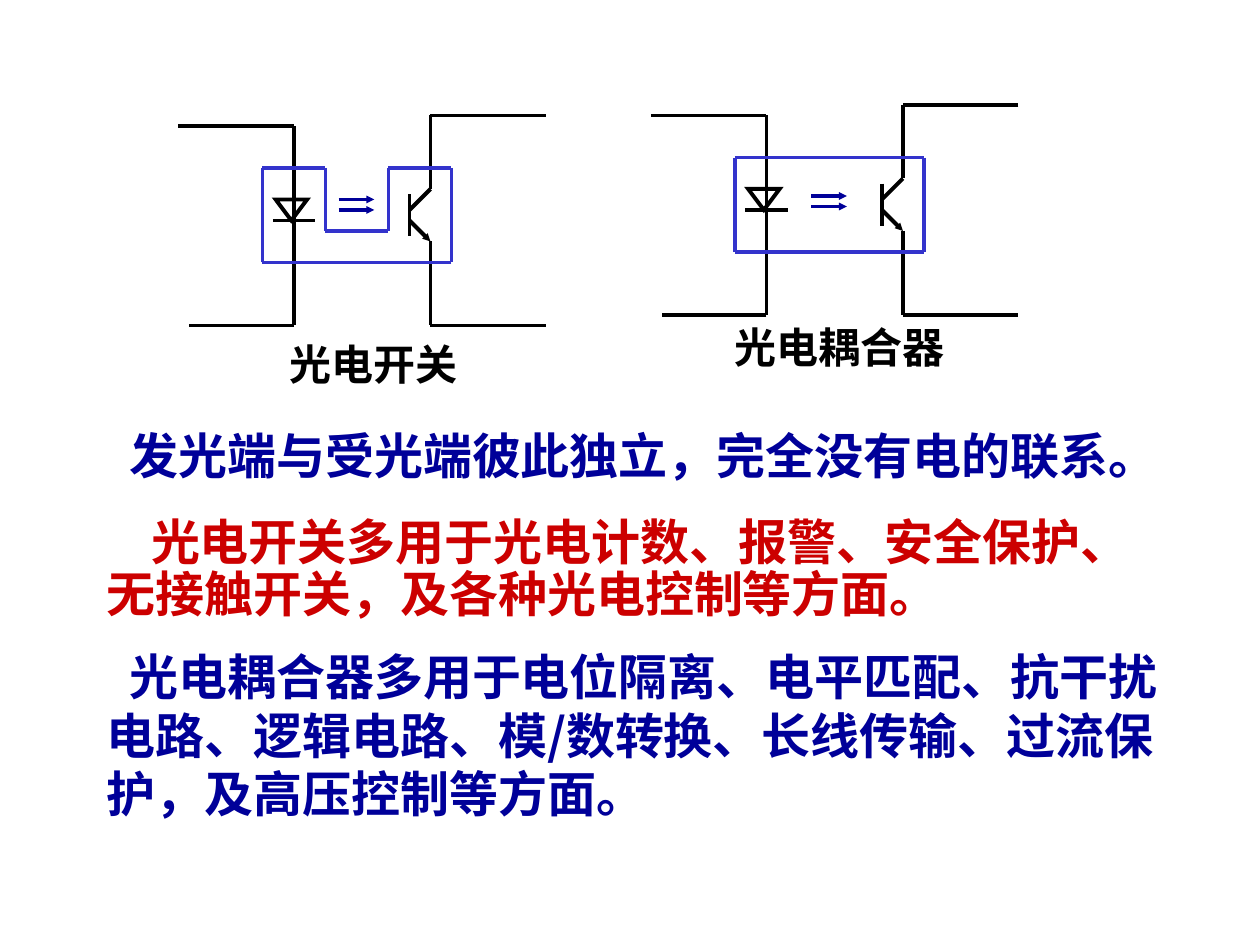
import itertools

import lxml.etree
import pptx
import pptx.dml.color
import pptx.enum.shapes
import pptx.enum.text
import pptx.oxml.ns
import pptx.util

Inches = pptx.util.Inches
Pt = pptx.util.Pt
RGBColor = pptx.dml.color.RGBColor
qn = pptx.oxml.ns.qn

BLACK = RGBColor(0x00, 0x00, 0x00)
BLUE = RGBColor(0x33, 0x33, 0xCC)
NAVY = RGBColor(0x00, 0x00, 0x99)
RED = RGBColor(0xCC, 0x00, 0x00)
SERIF = "Times New Roman"
SANS = "Noto Sans CJK SC"
WIDTH = Pt(2.25)


def grid(n):
    """Circuits are drawn on a grid of twelfths of an inch."""
    return Inches(n / 12)


def wire(group, org, color, *points, arrow=False):
    """Join the points with straight lines, one for each pair."""
    for (x1, y1), (x2, y2) in itertools.pairwise(points):
        line = group.shapes.add_connector(
            pptx.enum.shapes.MSO_CONNECTOR.STRAIGHT,
            grid(org[0] + x1), grid(org[1] + y1),
            grid(org[0] + x2), grid(org[1] + y2))
        line.line.color.rgb = color
        line.line.width = WIDTH
        props = line.line._get_or_add_ln()
        if arrow:
            lxml.etree.SubElement(props, qn("a:tailEnd"), type="triangle",
                                  w="sm", len="sm")
        lxml.etree.SubElement(props.getparent(), qn("a:effectLst"))


def diode(group, org):
    tri = group.shapes.add_shape(
        pptx.enum.shapes.MSO_SHAPE.ISOSCELES_TRIANGLE,
        grid(org[0] + 26.25), grid(org[1] + 19), grid(3), grid(2))
    tri._element.spPr.get_or_add_xfrm().set("flipV", "1")
    tri.shadow.inherit = False
    tri.fill.background()
    tri.line.color.rgb = BLACK
    tri.line.width = WIDTH
    lxml.etree.SubElement(tri.line._get_or_add_ln(), qn("a:miter"),
                          lim="800000")
    wire(group, org, BLACK, (26, 21), (30, 21))


def write(shapes, box, text, size, font, color, indent=0, space=None,
          center=False):
    left, top, width, height = box
    label = shapes.add_textbox(
        Inches(left), Inches(top), Inches(width), Inches(height))
    frame = label.text_frame
    frame.word_wrap = not center
    para = frame.paragraphs[0]
    para.text = text
    if center:
        para.alignment = pptx.enum.text.PP_ALIGN.CENTER
    if indent:
        para._p.get_or_add_pPr().set("indent", str(Inches(indent)))
    if space:
        para.line_spacing = space
    para.font.size = Pt(size)
    para.font.name = font
    para.font.bold = True
    para.font.color.rgb = color


def circuit(slide, org, frame, rays, name, box):
    group = slide.shapes.add_group_shape()

    # Emitter side
    wire(group, org, BLACK, (17, 12), (28, 12), (28, 31), (18, 31))
    diode(group, org)

    # Receiver side: leads, base and emitter arrow
    wire(group, org, BLACK, (52, 11), (41, 11), (41, 18), (39, 20))
    wire(group, org, BLACK, (39, 21), (41, 23), arrow=True)
    wire(group, org, BLACK, (41, 23), (41, 31), (52, 31))
    wire(group, org, BLACK, (39, 18.5), (39, 22.5))

    # Housing and light rays
    wire(group, org, BLUE, *frame, frame[0])
    for y in (rays, rays + 1):
        wire(group, org, NAVY, (32.25, y), (35.65, y), arrow=True)

    write(group.shapes, box, name, 24, SERIF, BLACK, center=True)


def main():
    deck = pptx.Presentation()
    deck.slide_width = Inches(10)
    deck.slide_height = Inches(7.5)
    slide = deck.slides.add_slide(deck.slide_layouts[6])

    # Circuits: the switch has a notched housing, the coupler a closed one
    notch = [(31, 16), (31, 22), (37, 22), (37, 16)]
    base = [(43, 16), (43, 25), (25, 25)]
    circuit(slide, (0, 0), [(25, 16), *notch, *base], 19,
            "光电开关", (2.19, 2.64, 1.55, 0.5))
    circuit(slide, (45, -1), [(25, 16), *base], 19.67,
            "光电耦合器", (5.71, 2.5, 1.9, 0.5))

    # Explanations
    write(slide.shapes, (0.75, 3.33, 9.05, 0.57),
          "发光端与受光端彼此独立，完全没有电的联系。",
          28, SANS, NAVY, indent=0.18)
    write(slide.shapes, (0.75, 4.06, 8.58, 0.94),
          "光电开关多用于光电计数、报警、安全保护、无接触开关，及各种光电控制等方面。",
          28, SERIF, RED, indent=0.35, space=0.9)
    write(slide.shapes, (0.75, 5.08, 8.83, 1.5),
          "光电耦合器多用于电位隔离、电平匹配、抗干扰电路、逻辑电路、"
          "模/数转换、长线传输、过流保护，及高压控制等方面。",
          28, SANS, NAVY, indent=0.18)

    deck.save("out.pptx")


if __name__ == "__main__":
    main()
